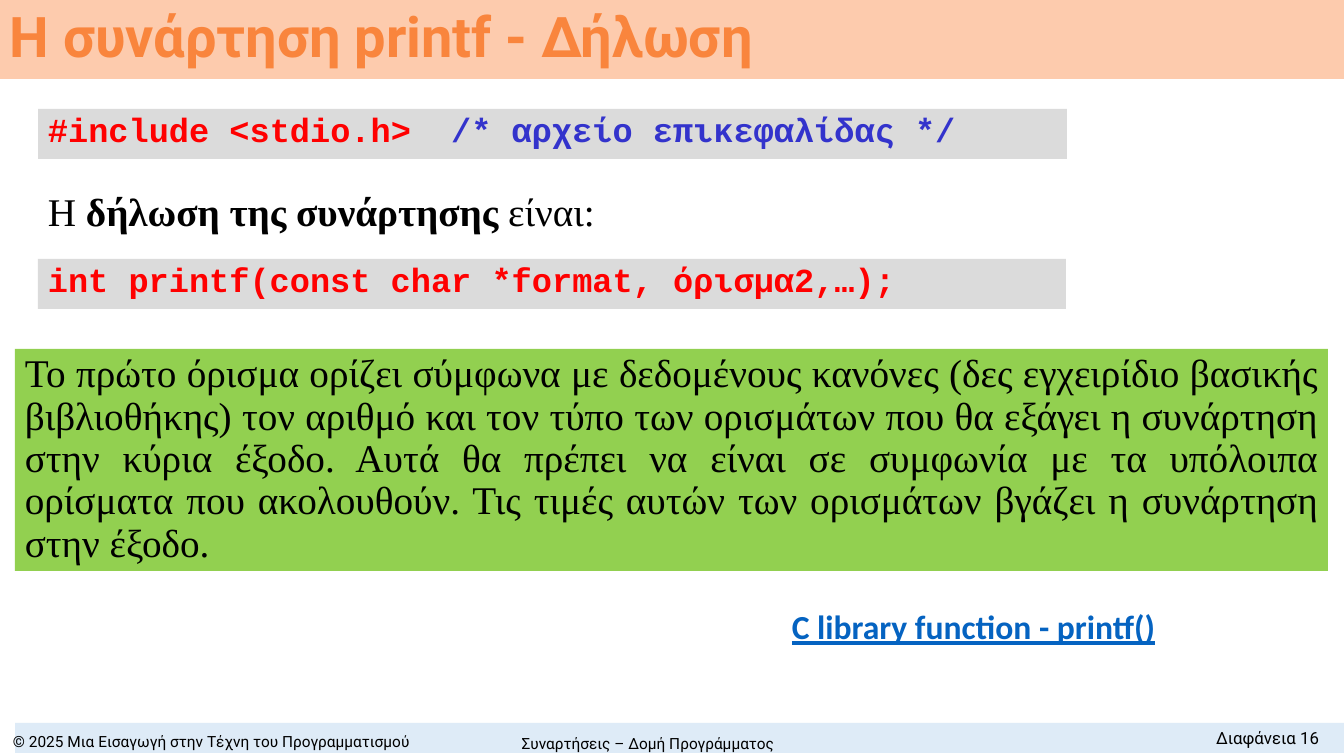
from pptx import Presentation
from pptx.dml.color import RGBColor
from pptx.enum.shapes import MSO_SHAPE
from pptx.enum.text import MSO_ANCHOR as Anchor, PP_ALIGN as Align
from pptx.util import Emu, Pt

PX = 914400 / 100.8
BLACK = RGBColor(0x00, 0x00, 0x00)
RED = RGBColor(0xFF, 0x00, 0x00)
BLUE = RGBColor(0x33, 0x33, 0xCC)
LINK_BLUE = RGBColor(0x05, 0x63, 0xC1)
ORANGE = RGBColor(0xF9, 0x85, 0x3D)
PEACH = RGBColor(0xFD, 0xCB, 0xAD)
PALE_BLUE = RGBColor(0xDE, 0xEB, 0xF7)
GREY = RGBColor(0xDB, 0xDB, 0xDB)
GREEN = RGBColor(0x92, 0xD0, 0x50)
HANGING = {"marL": 38, "indent": -38}

TITLE = {"name": "Roboto", "size": Pt(40), "bold": True, "color": ORANGE}
FOOTER = {"name": "Roboto", "size": Pt(11), "color": BLACK}
NUMBER = {**FOOTER, "size": Pt(12)}
CODE = {"name": "Courier New", "size": Pt(24), "bold": True, "color": RED}
COMMENT = {**CODE, "color": BLUE}
BODY = {"name": "Times New Roman", "size": Pt(28), "color": BLACK}
STRONG = {**BODY, "bold": True}
LINK = {"name": "Calibri", "size": Pt(24), "bold": True, "underline": True, "color": LINK_BLUE}

EXPLANATION = (
    "To πρώτο όρισμα ορίζει σύμφωνα με δεδομένους κανόνες (δες εγχειρίδιο βασικής "
    "βιβλιοθήκης) τον αριθμό και τον τύπο των ορισμάτων που θα εξάγει η συνάρτηση "
    "στην κύρια έξοδο. Αυτά θα πρέπει να είναι σε συμφωνία με τα υπόλοιπα "
    "ορίσματα που ακολουθούν. Τις τιμές αυτών των ορισμάτων βγάζει η συνάρτηση "
    "στην έξοδο."
)


def px(length):
    return Emu(round(length * PX))


deck = Presentation()
deck.slide_width, deck.slide_height = px(1344), px(756)
page = deck.slides.add_slide(deck.slide_layouts[6])

MIDDLE, TOP = Anchor.MIDDLE, Anchor.TOP
LEFT, CENTER, RIGHT, JUSTIFY = Align.LEFT, Align.CENTER, Align.RIGHT, Align.JUSTIFY

blocks = [
    ((15, 723, 1329, 30), PALE_BLUE, TOP, LEFT, 1, {}, []),
    ((0, 0, 1344, 79), PEACH, MIDDLE, LEFT, 0.9, {}, [("H συνάρτηση printf - Δήλωση", TITLE)]),
    ((0, 728, 423, 26), None, MIDDLE, CENTER, 1, {},
     [("© 2025 Μια Εισαγωγή στην Τέχνη του Προγραμματισμού", FOOTER)]),
    ((1121, 723, 208, 30), None, TOP, RIGHT, 1, {}, [("Διαφάνεια 16", NUMBER)]),
    ((457, 729, 382, 28), None, MIDDLE, CENTER, 1, {},
     [("Συναρτήσεις – Δομή Προγράμματος", FOOTER)]),
    ((38, 109, 1029, 50), GREY, TOP, JUSTIFY, 0.9, HANGING,
     [("#include <stdio.h>  ", CODE), ("/* αρχείο επικεφαλίδας */", COMMENT)]),
    ((712, 601, 523, 50), None, TOP, CENTER, 1, {}, [("C library function - printf()", LINK)]),
    ((38, 188, 1219, 50), None, TOP, JUSTIFY, 0.9, HANGING,
     [("Η ", BODY), ("δήλωση της συνάρτησης ", STRONG), ("είναι:", BODY)]),
    ((38, 259, 1028, 50), GREY, TOP, JUSTIFY, 0.9, HANGING,
     [("int printf(const char *format, όρισμα2,…);", CODE)]),
    ((15, 349, 1313, 222), GREEN, TOP, JUSTIFY, 0.9, {}, [(EXPLANATION, BODY)]),
]

for bounds, fill, anchor, align, spacing, indents, spans in blocks:
    place = [px(length) for length in bounds]
    if fill is None:
        box = page.shapes.add_textbox(*place)
    else:
        box = page.shapes.add_shape(MSO_SHAPE.RECTANGLE, *place)
        box.shadow.inherit = False
        box.fill.solid()
        box.fill.fore_color.rgb = fill
        box.line.fill.background()
    frame = box.text_frame
    frame.word_wrap = True
    frame.vertical_anchor = anchor
    para = frame.paragraphs[0]
    para.alignment = align
    para.line_spacing = spacing
    for side, length in indents.items():
        para._p.get_or_add_pPr().set(side, str(px(length)))
    for text, style in spans:
        span = para.add_run()
        span.text = text
        for key, value in style.items():
            if key == "color":
                span.font.color.rgb = value
            else:
                setattr(span.font, key, value)

deck.save("out.pptx")
